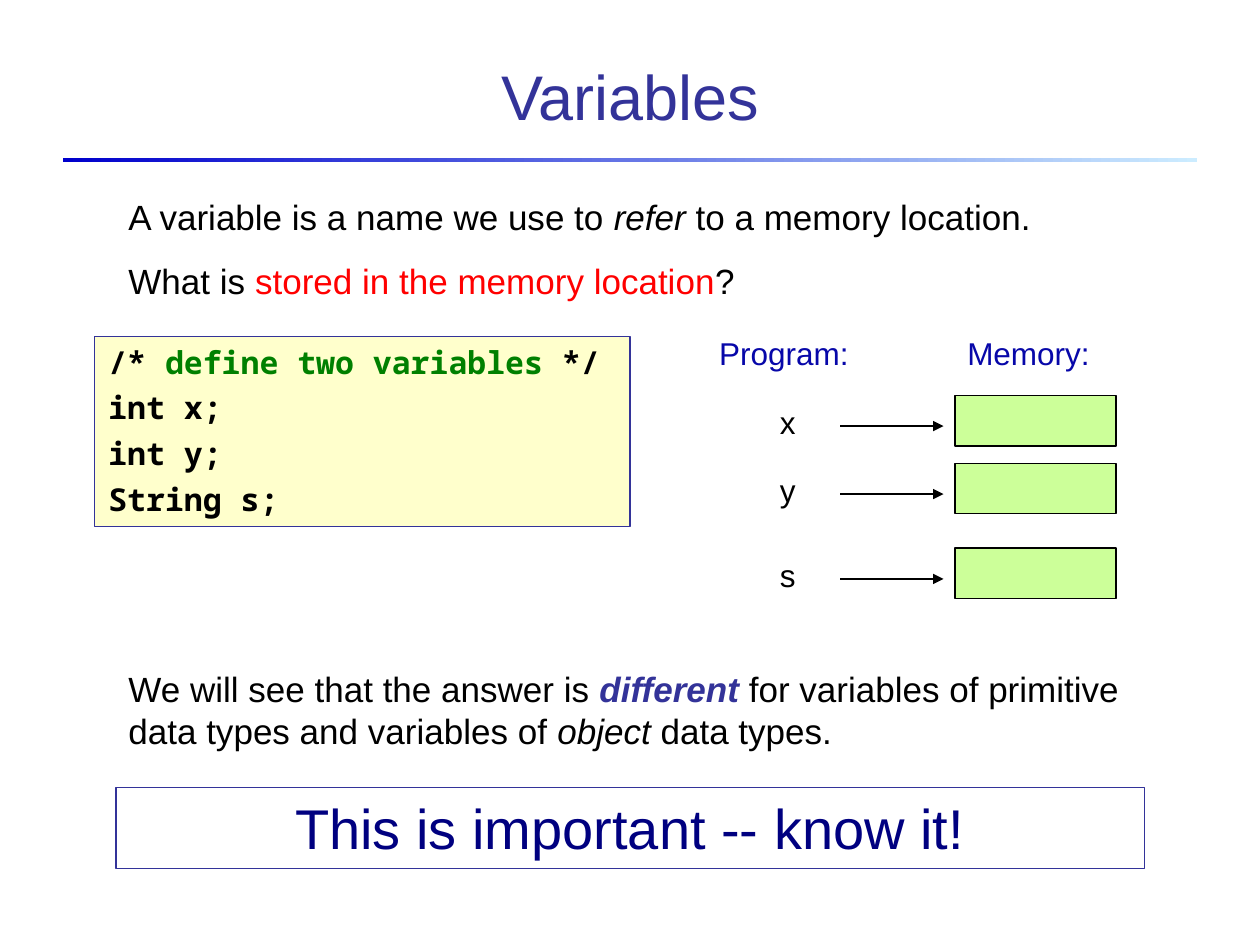
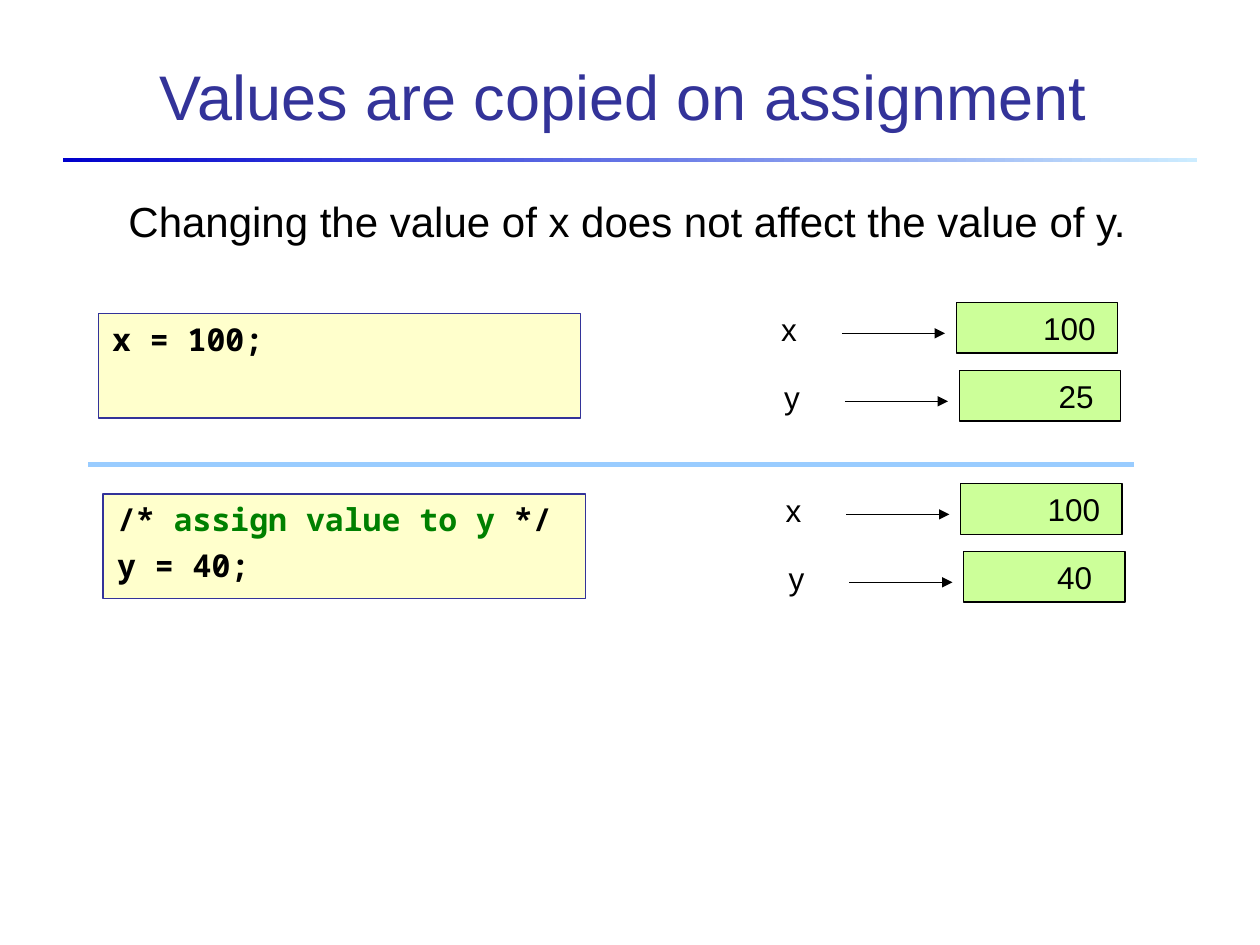
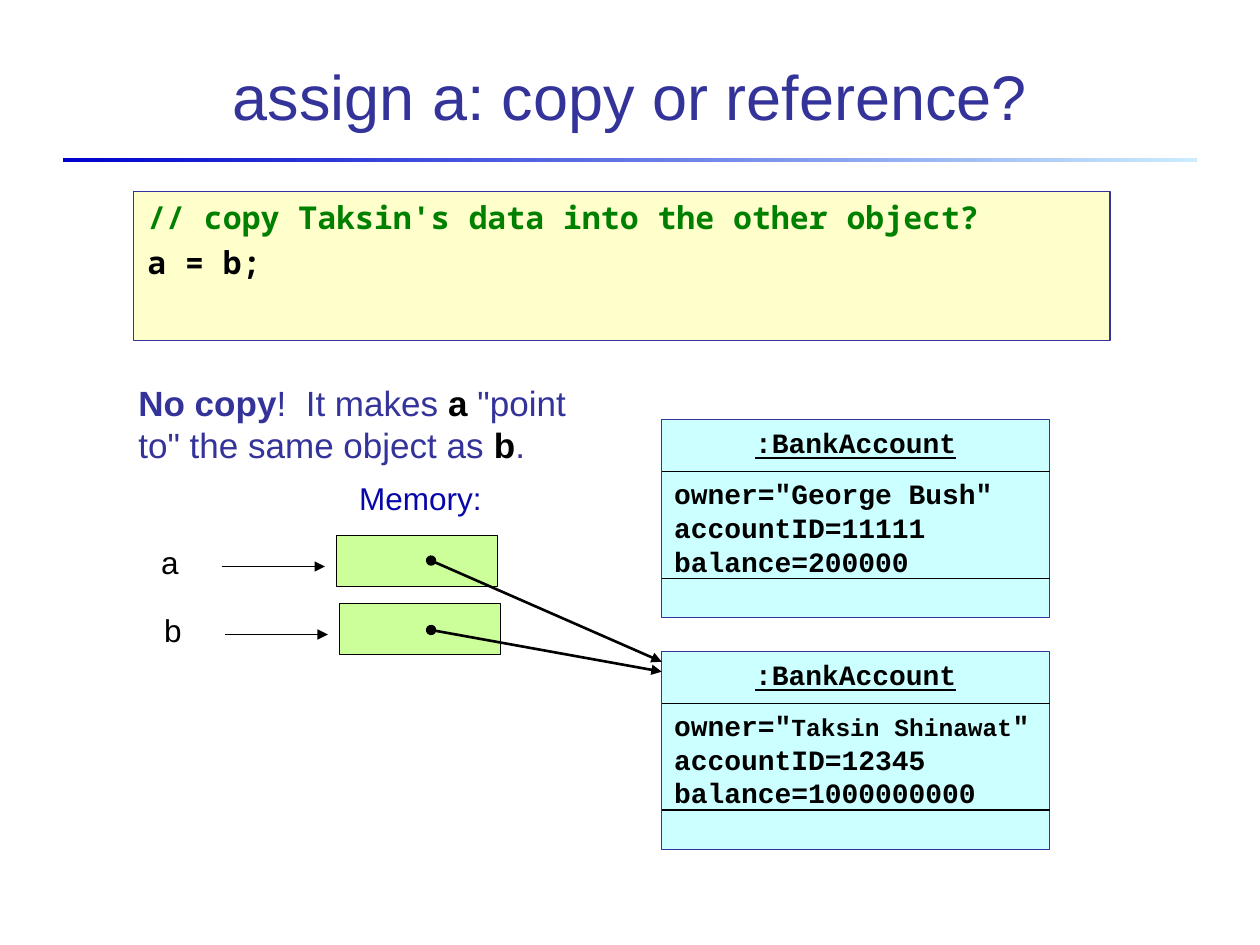
from dataclasses import dataclass, replace
from typing import NamedTuple, Optional

from lxml.etree import SubElement
from pptx import Presentation
from pptx.dml.color import RGBColor as RGB
from pptx.enum.shapes import MSO_CONNECTOR as CONN, MSO_SHAPE as SHAPE
from pptx.enum.text import MSO_ANCHOR as ANCHOR, MSO_AUTO_SIZE as AUTO, PP_ALIGN as ALIGN
from pptx.oxml.ns import qn
from pptx.util import Cm, Pt


@dataclass(frozen=True)
class Theme:
    sans: str = "Arial"
    mono: str = "Noto Sans Mono"
    uml: str = "Courier New"
    ink: str = "000000"
    indigo: str = "333399"
    heading: str = "0707A9"
    navy: str = "000080"
    red: str = "FF0000"
    comment: str = "008000"
    code_fill: str = "FFFFCC"
    slot_fill: str = "CCFF99"
    object_fill: str = "CCFFFF"
    divider: str = "99CCFF"
    rule_light: str = "CCECFF"
    rule_dark: str = "0000CC"
    title_size: float = 36
    banner_size: float = 32
    lead_size: float = 24
    body_size: float = 20
    label_size: float = 18
    object_size: float = 16
    small_size: float = 14
    thin: float = 0.75


T = Theme()


@dataclass(frozen=True)
class Style:
    """Paragraph look; hanging turns bullets off and sets the code indent."""
    size: float
    font: str = T.sans
    color: str = T.ink
    bold: bool = False
    align: ALIGN = ALIGN.LEFT
    before: float = 0
    hanging: bool = False


TITLE = Style(T.title_size, color=T.indigo, align=ALIGN.CENTER)
BODY = Style(T.body_size, before=12.5)
LEAD = Style(T.lead_size)
LABEL = Style(T.label_size)
HEADING = replace(LABEL, color=T.heading)
BANNER = Style(T.banner_size, color=T.navy, align=ALIGN.CENTER)
CODE = Style(T.label_size, T.mono, bold=True, before=4.5, hanging=True)
FIELD = Style(T.object_size, T.uml, bold=True)
FIRST_FIELD = replace(FIELD, before=10)
OBJECT_NAME = replace(FIELD, align=ALIGN.CENTER)


class Box(NamedTuple):
    """Left, top, width and height in centimetres."""
    x: float
    y: float
    w: float
    h: float


class Span(NamedTuple):
    text: str
    color: Optional[str] = None
    bold: Optional[bool] = None
    italic: bool = False
    underline: bool = False
    size: Optional[float] = None


class Para(NamedTuple):
    style: Style
    spans: tuple


class Slot(NamedTuple):
    """A named variable, its memory cell and the value written in it."""
    name: str
    x: float
    y: float
    value: str = ""
    value_dx: float = 0


class Account(NamedTuple):
    y: float
    owner: tuple
    number: str
    balance: str


SLOT_W, SLOT_H = 3.25, 1.02
TITLE_BOX = Box(1.7, 0.71, 22, 2.41)
WIDE_TITLE_BOX = Box(0.5, 0.71, 24.13, 2.41)


def para(style: Style, *spans) -> Para:
    return Para(style, tuple(Span(s) if isinstance(s, str) else s for s in spans))


def place(sp, box: Box) -> None:
    sp.left, sp.top, sp.width, sp.height = map(Cm, box)


def write(tf, paras, anchor=ANCHOR.TOP) -> None:
    tf.word_wrap = True
    tf.auto_size = AUTO.NONE
    tf.vertical_anchor = anchor
    for i, (style, spans) in enumerate(paras):
        p = tf.add_paragraph() if i else tf.paragraphs[0]
        if style.hanging:
            pPr = p._p.get_or_add_pPr()
            pPr.set("marL", str(Cm(0.64)))
            pPr.set("indent", str(Cm(-0.61)))
            SubElement(pPr, qn("a:buNone"))
        p.alignment = style.align
        p.line_spacing = 1.0
        p.space_before = Pt(style.before if i else 0)
        for span in spans:
            r = p.add_run()
            r.text = span.text
            f = r.font
            f.name = style.font
            f.size = Pt(span.size or style.size)
            f.color.rgb = RGB.from_string(span.color or style.color)
            f.bold = style.bold if span.bold is None else span.bold
            f.italic = span.italic
            f.underline = span.underline


def paint(sp, fill: Optional[str], line: str) -> None:
    if fill:
        sp.fill.solid()
        sp.fill.fore_color.rgb = RGB.from_string(fill)
    else:
        sp.fill.background()
    sp.line.color.rgb = RGB.from_string(line)
    sp.line.width = Pt(T.thin)


def add_text(slide, box: Box, *paras: Para) -> None:
    write(slide.shapes.add_textbox(*map(Cm, box)).text_frame, paras)


def add_panel(slide, box: Box, fill: Optional[str], line: str, *paras: Para) -> None:
    sp = slide.shapes.add_shape(SHAPE.RECTANGLE, *map(Cm, box))
    sp.shadow.inherit = False
    paint(sp, fill, line)
    if paras:
        write(sp.text_frame, paras)


def add_line(slide, x1: float, y1: float, x2: float, y2: float, color: str = T.ink,
             width: float = T.thin, head: str = "", tail: str = "") -> None:
    c = slide.shapes.add_connector(CONN.STRAIGHT, Cm(x1), Cm(y1), Cm(x2), Cm(y2))
    c.line.color.rgb = RGB.from_string(color)
    c.line.width = Pt(width)
    ln = c.line._get_or_add_ln()
    for tag, kind in (("a:headEnd", head), ("a:tailEnd", tail)):
        if kind:
            SubElement(ln, qn(tag)).set("type", kind)
    SubElement(c._element.spPr, qn("a:effectLst"))


def add_slot(slide, slot: Slot) -> None:
    x, y = slot.x, slot.y
    add_panel(slide, Box(x, y, SLOT_W, SLOT_H), T.slot_fill, T.ink)
    add_text(slide, Box(x - 3.78, y + 0.03, 1, SLOT_H), para(LABEL, slot.name))
    add_line(slide, x - 2.31, y + 0.62, x - 0.23, y + 0.62, tail="triangle")
    if slot.value:
        add_text(slide, Box(x + slot.value_dx, y, 1.6, SLOT_H), para(LABEL, slot.value))


def add_account(slide, account: Account) -> None:
    x, y, w = 13.34, account.y, 7.82
    add_panel(slide, Box(x, y, w, 3.99), T.object_fill, T.indigo,
              para(OBJECT_NAME, Span(":BankAccount", underline=True)),
              para(FIRST_FIELD, *account.owner),
              para(FIELD, f"accountID={account.number}"),
              para(FIELD, f"balance={account.balance}"))
    for dy in (1.05, 3.2):
        add_line(slide, x, y + dy, x + w, y + dy)


def add_code(slide, box: Box, *paras: Para) -> None:
    add_panel(slide, box, T.code_fill, T.indigo, *paras)


def add_slide(prs, layout: int, title: str, box: Box = TITLE_BOX):
    slide = prs.slides.add_slide(prs.slide_layouts[layout])
    place(slide.shapes.title, box)
    write(slide.shapes.title.text_frame, [para(TITLE, title)], ANCHOR.MIDDLE)
    return slide


def add_master_rule(prs, slide) -> None:
    """Draw the gradient rule and move it to the master, so every slide shows it."""
    sp = slide.shapes.add_shape(SHAPE.RECTANGLE, Cm(1.27), Cm(3.18), Cm(22.86), Cm(0.08))
    sp.shadow.inherit = False
    sp.line.fill.background()
    sp.fill.gradient()
    sp.fill.gradient_angle = 180
    for stop, color in zip(sp.fill.gradient_stops, (T.rule_light, T.rule_dark)):
        stop.color.rgb = RGB.from_string(color)
    prs.slide_master.shapes.element.append(sp.element)


def comment_line(text: str) -> Para:
    return para(CODE, "/* ", Span(text, T.comment), " */")


def variables(prs) -> None:
    slide = add_slide(prs, 1, "Variables")
    add_master_rule(prs, slide)
    code = slide.placeholders[1]
    place(code, Box(1.9, 6.78, 10.8, 3.84))
    paint(code, T.code_fill, T.indigo)
    write(code.text_frame, [comment_line("define two variables"),
                            *(para(CODE, s) for s in ("int x;", "int y;", "String s;"))])
    for text, x in (("Program:", 14.25), ("Memory:", 19.25)):
        add_text(slide, Box(x, 6.6, 3.23, 1.02), para(HEADING, text))
    for name, y in (("x", 7.97), ("y", 9.34), ("s", 11.05)):
        add_slot(slide, Slot(name, 19.25, y))
    add_text(slide, Box(2.34, 3.81, 20.73, 2.39),
             para(BODY, "A variable is a name we use to ", Span("refer", italic=True),
                  " to a memory location."),
             para(BODY, "What is ", Span("stored in the memory location", T.red), "?"))
    add_text(slide, Box(2.34, 13.34, 20.73, 1.96),
             para(BODY, "We will see that the answer is ",
                  Span("different", T.indigo, bold=True, italic=True),
                  " for variables of primitive data types and variables of ",
                  Span("object", italic=True), " data types."))
    add_panel(slide, Box(2.34, 15.88, 20.73, 1.63), None, T.indigo,
              para(BANNER, "This is important -- know it!"))


def copied_values(prs) -> None:
    slide = add_slide(prs, 5, "Values are copied on assignment", WIDE_TITLE_BOX)
    add_text(slide, Box(2.34, 3.81, 20.73, 1.27),
             para(LEAD, "Changing the value of x does not affect the value of y."))
    add_code(slide, Box(1.98, 6.32, 9.73, 2.11), para(CODE, "x = 100;"))
    add_code(slide, Box(2.08, 9.96, 9.73, 2.11),
             comment_line("assign value to y"), para(CODE, "y = 40;"))
    add_line(slide, 1.78, 9.36, 22.86, 9.36, T.divider, 3)
    for slot in (Slot("x", 19.28, 6.1, "100", 1.5), Slot("y", 19.34, 7.47, "25", 1.75),
                 Slot("x", 19.37, 9.75, "100", 1.5), Slot("y", 19.43, 11.12, "40", 1.63)):
        add_slot(slide, slot)


def shared_reference(prs) -> None:
    slide = add_slide(prs, 5, "assign a: copy or reference?")
    add_code(slide, Box(2.69, 3.86, 19.69, 3),
             para(CODE, Span("// copy Taksin's data into the other object?", T.comment)),
             para(CODE, "a = b;"))
    add_text(slide, Box(2.54, 7.57, 9.53, 1.96),
             para(replace(BODY, color=T.indigo), Span("No copy", bold=True), "!  It makes ",
                  Span("a", T.ink, True), ' "point to" the same object as ',
                  Span("b", T.ink, True), "."))
    add_text(slide, Box(6.99, 9.53, 3.23, 1.02), para(HEADING, "Memory:"))
    for slot in (Slot("a", 6.78, 10.8), Slot("b", 6.84, 12.17)):
        add_slot(slide, slot)
    for account in (
            Account(8.46, ('owner="George Bush"',), "11111", "200000"),
            Account(13.13, ('owner="', Span("Taksin Shinawat", size=T.small_size), '"'),
                    "12345", "1000000000")):
        add_account(slide, account)
    for y1, y2 in ((11.3, 13.34), (12.7, 13.54)):
        add_line(slide, 8.69, y1, 13.34, y2, width=1.5, head="oval", tail="triangle")


def main() -> None:
    prs = Presentation()
    prs.slide_width, prs.slide_height = Cm(25.4), Cm(19.05)
    variables(prs)
    copied_values(prs)
    shared_reference(prs)
    prs.save("out.pptx")


if __name__ == "__main__":
    main()
